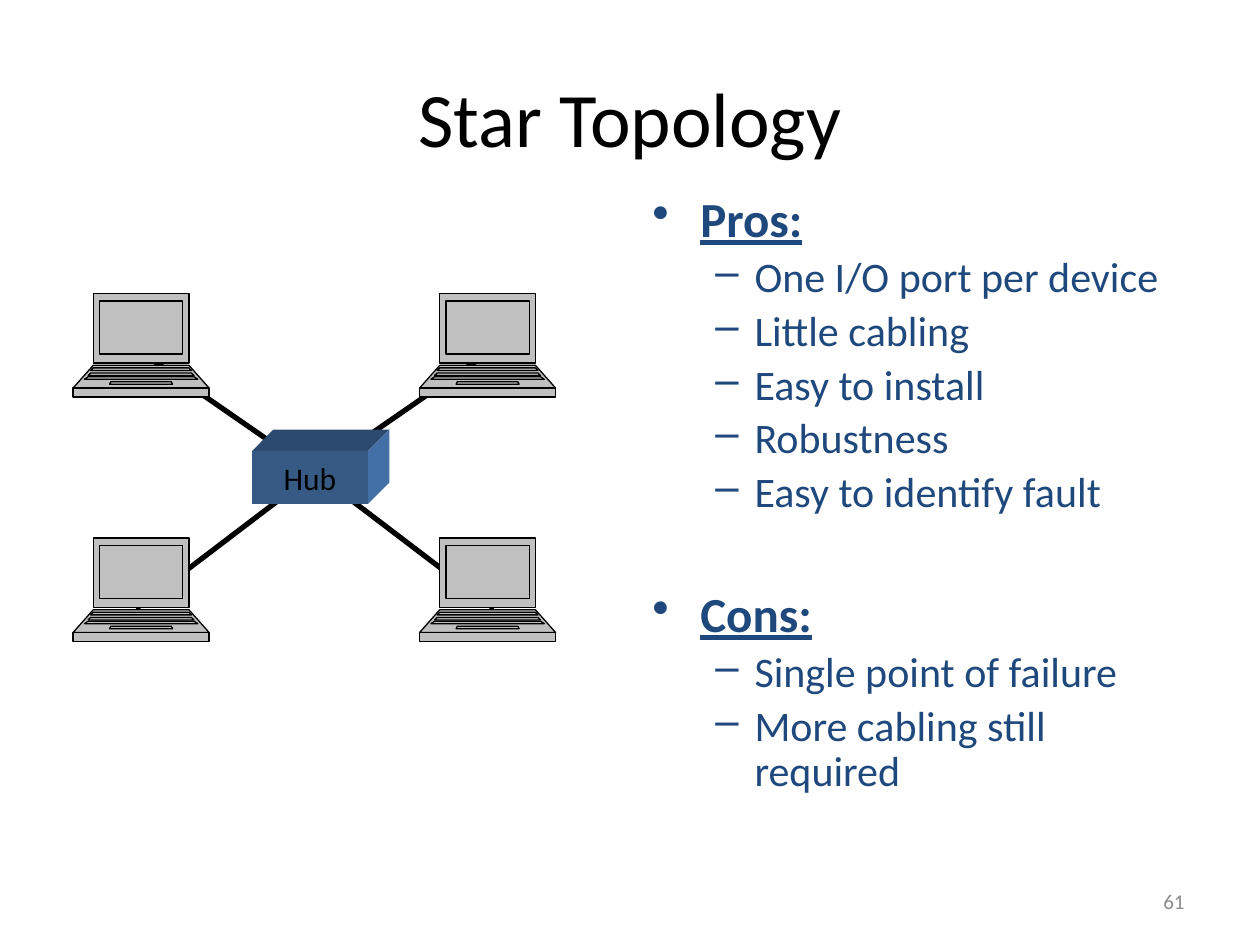
from copy import deepcopy
from pptx import Presentation
from pptx.dml.color import RGBColor
from pptx.enum.shapes import MSO_CONNECTOR as Link, MSO_SHAPE as Form
from pptx.enum.text import MSO_ANCHOR as Anchor, PP_ALIGN as Align
from pptx.oxml.ns import qn
from pptx.oxml.xmlchemy import OxmlElement as Node
from pptx.util import Inches, Pt

BLACK, NAVY, GREY = "000000", "1F497D", "C0C0C0"
HUB = (2.46, 3.75)
LEFT, RIGHT, UPPER, LOWER = 1.12, 3.87, 2.33, 4.27
LAPTOP = [
    (0.38, 0.38, 0, 0.55), (0.38, 0.54, 0.57, 0.75),
    (0.54, 0.54, 0.75, 0.82), (0.33, 0.33, 0.06, 0.48),
    (0.38, 0.4, 0.59, 0.61), (0.24, 0.25, 0.7, 0.72),
    (0.4, 0.42, 0.63, 0.65), (0.42, 0.45, 0.66, 0.68),
]
LISTS = [
    ("Pros:", 0, ["One I/O port per device", "Little cabling", "Easy to install",
                  "Robustness", "Easy to identify fault"]),
    ("Cons:", 42, ["Single point of failure", "More cabling still required"]),
]


def tint(code):
    return RGBColor.from_string(code)


class Sheet:
    """Draws styled elements on the current slide."""

    def __init__(self, slide, font="Calibri"):
        self.shapes = slide.shapes
        self.font = font

    def run(self, par, words, size, color, bold=False):
        run = par.add_run()
        run.text = words
        font = run.font
        font.name, font.size, font.bold = self.font, Pt(size), bold
        font.underline = bold
        font.color.rgb = tint(color)

    def frame(self, *box, anchor=Anchor.MIDDLE):
        frame = self.shapes.add_textbox(*map(Inches, box)).text_frame
        frame.word_wrap = True
        frame.vertical_anchor = anchor
        return frame

    def label(self, words, size, color, align, *box):
        par = self.frame(*box).paragraphs[0]
        par.alignment = align
        self.run(par, words, size, color)

    def item(self, par, words, level, gap):
        size, mark, left, hang = ((28, "•", 0.38, 0.38), (24, "–", 0.81, 0.31))[level]
        par.level = level
        par.line_spacing = 0.9
        par.space_before = Pt(gap)
        props = par._p.get_or_add_pPr()
        props.set("marL", str(Inches(left)))
        props.set("indent", str(-Inches(hang)))
        dot = Node("a:buChar")
        dot.set("char", mark)
        props.append(dot)
        self.run(par, words, size, NAVY, bold=level == 0)

    def lists(self, groups, *box):
        frame = self.frame(*box, anchor=Anchor.TOP)
        par = frame.paragraphs[0]
        for head, gap, items in groups:
            self.item(par, head, 0, gap)
            for words in items:
                self.item(frame.add_paragraph(), words, 1, 4.8)
            if head != groups[-1][0]:
                par = frame.add_paragraph()

    def cable(self, start, end):
        ends = map(Inches, (*start, *end))
        cable = self.shapes.add_connector(Link.STRAIGHT, *ends)
        cable.line.width = Pt(3)
        cable.line.color.rgb = tint(BLACK)
        cable._element.spPr.append(Node("a:effectLst"))

    def paint(self, shape, fill, line=None):
        shape.shadow.inherit = False
        shape.fill.solid()
        shape.fill.fore_color.rgb = tint(fill)
        if line:
            shape.line.color.rgb = tint(line)
            shape.line.width = Pt(0.75)
        else:
            shape.line.fill.background()

    def outline(self, rings, fill, line=None):
        rings = [[(Inches(x), Inches(y)) for x, y in ring] for ring in rings]
        pen = self.shapes.build_freeform(*rings[0][0])
        for ring in rings:
            if ring is not rings[0]:
                pen.move_to(*ring[0])
            pen.add_line_segments(ring[1:], close=True)
        shape = pen.convert_to_shape()
        self.split(shape)
        self.paint(shape, fill, line)

    def split(self, shape):
        whole = next(shape._element.iter(qn("a:path")))
        blank = deepcopy(whole)
        for step in list(blank):
            blank.remove(step)
        for step in list(whole):
            if step.tag == qn("a:moveTo"):
                part = deepcopy(blank)
                whole.getparent().append(part)
            part.append(step)
        whole.getparent().remove(whole)

    def laptop(self, mid, top):
        rings = [[(mid - a, top + y), (mid + a, top + y), (mid + b, top + z), (mid - b, top + z)]
                 for a, b, y, z in LAPTOP]
        self.outline(rings, GREY, BLACK)

    def hub(self, words, x, y, wide, high, deep):
        right, low = x + wide, y + high
        self.outline([[(x, y), (x + deep, y - deep), (right + deep, y - deep), (right, y)]], "2C4A70")
        self.outline([[(right, y), (right + deep, y - deep), (right + deep, low - deep), (right, low)]],
                     "426FA6")
        face = self.shapes.add_shape(Form.RECTANGLE, *map(Inches, (x, y, wide, high)))
        self.paint(face, "365A84")
        frame = face.text_frame
        frame.word_wrap = False
        frame.vertical_anchor = Anchor.MIDDLE
        par = frame.paragraphs[0]
        par.alignment = Align.CENTER
        self.run(par, words, 18, BLACK)


def main():
    deck = Presentation()
    deck.slide_width, deck.slide_height = Inches(10), Inches(7.5)
    sheet = Sheet(deck.slides.add_slide(deck.slide_layouts[6]))
    sheet.label("61", 12, "8C8C8C", Align.RIGHT, 7.17, 6.95, 2.33, 0.4)
    for end in ((1.17, 2.83), (3.83, 2.83), (1.08, 4.83), (3.92, 4.83)):
        sheet.cable((2.5, 3.75), end)
    sheet.label("Star Topology", 44, BLACK, Align.CENTER, 0.5, 0.3, 9, 1.25)
    sheet.lists(LISTS, 5.08, 1.5, 4.42, 5.42)
    for top in (UPPER, LOWER):
        for mid in (LEFT, RIGHT):
            sheet.laptop(mid, top)
    sheet.hub("Hub", 2, 3.58, 0.92, 0.42, 0.17)
    deck.save("out.pptx")


if __name__ == "__main__":
    main()
